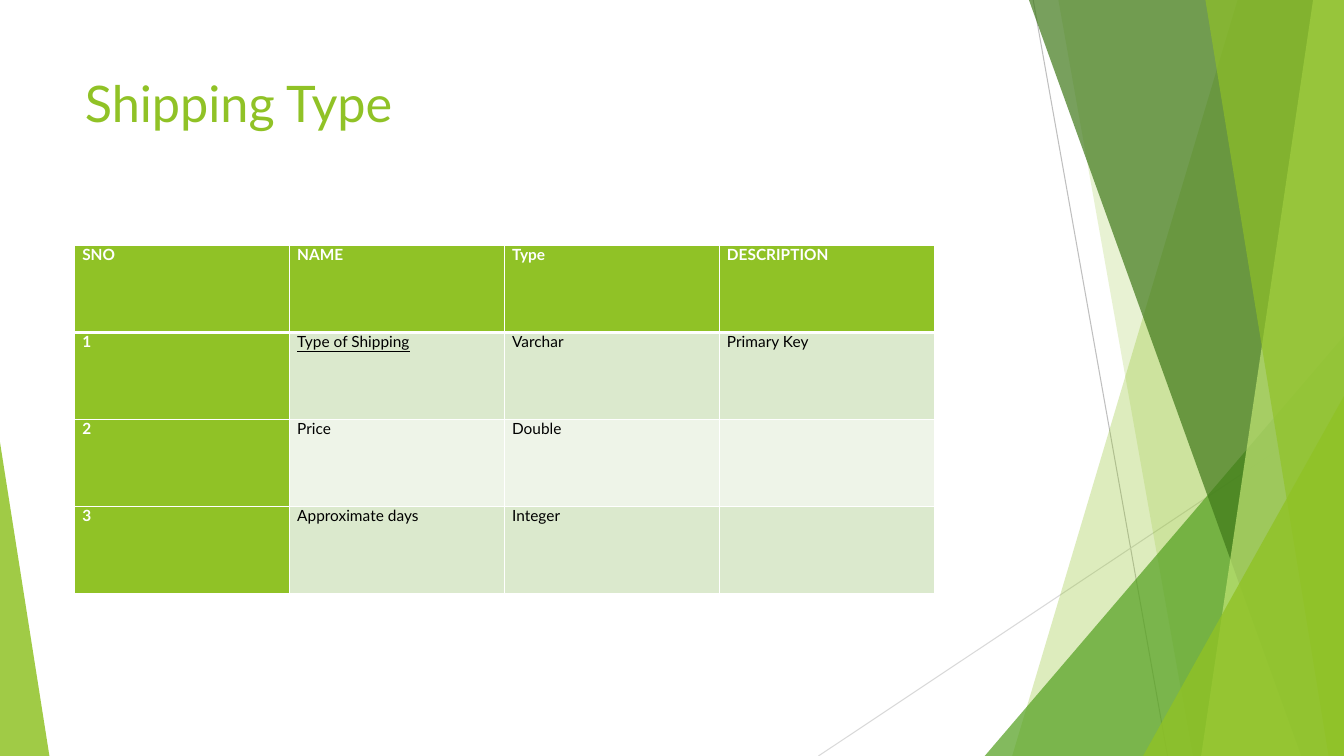
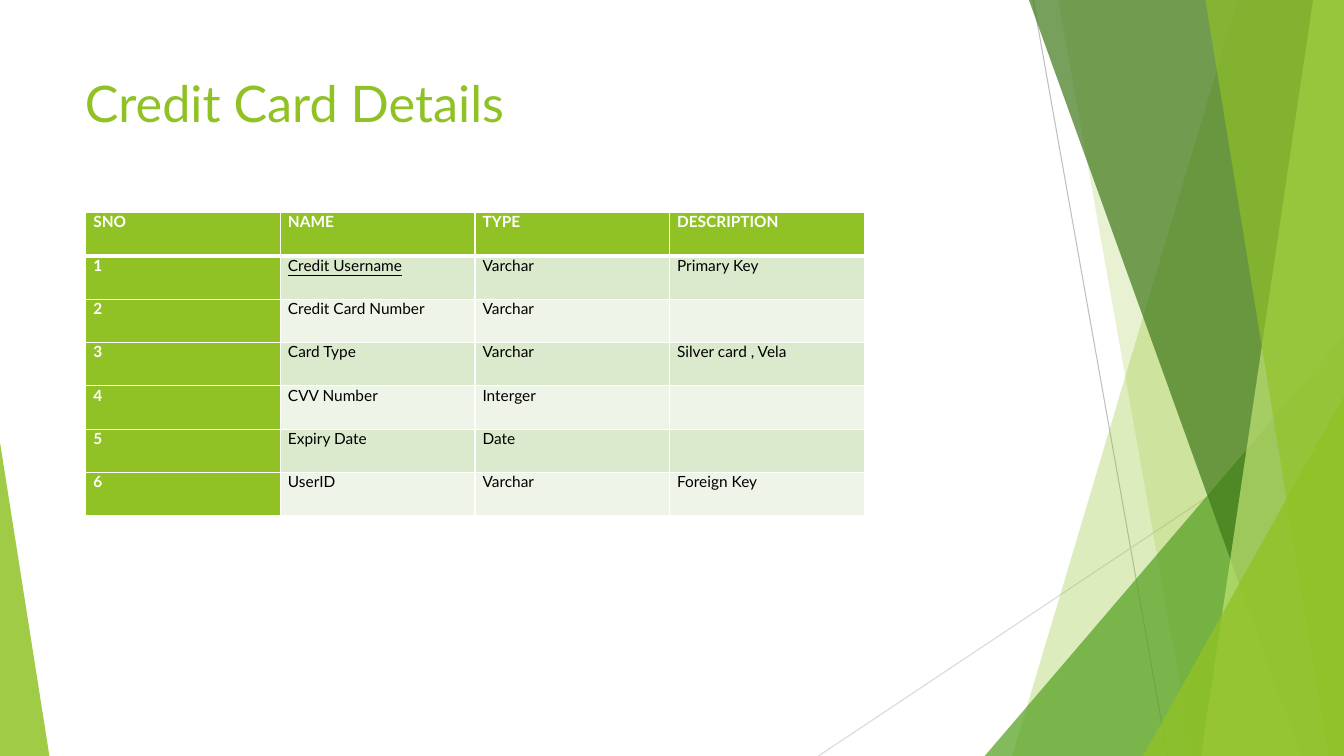
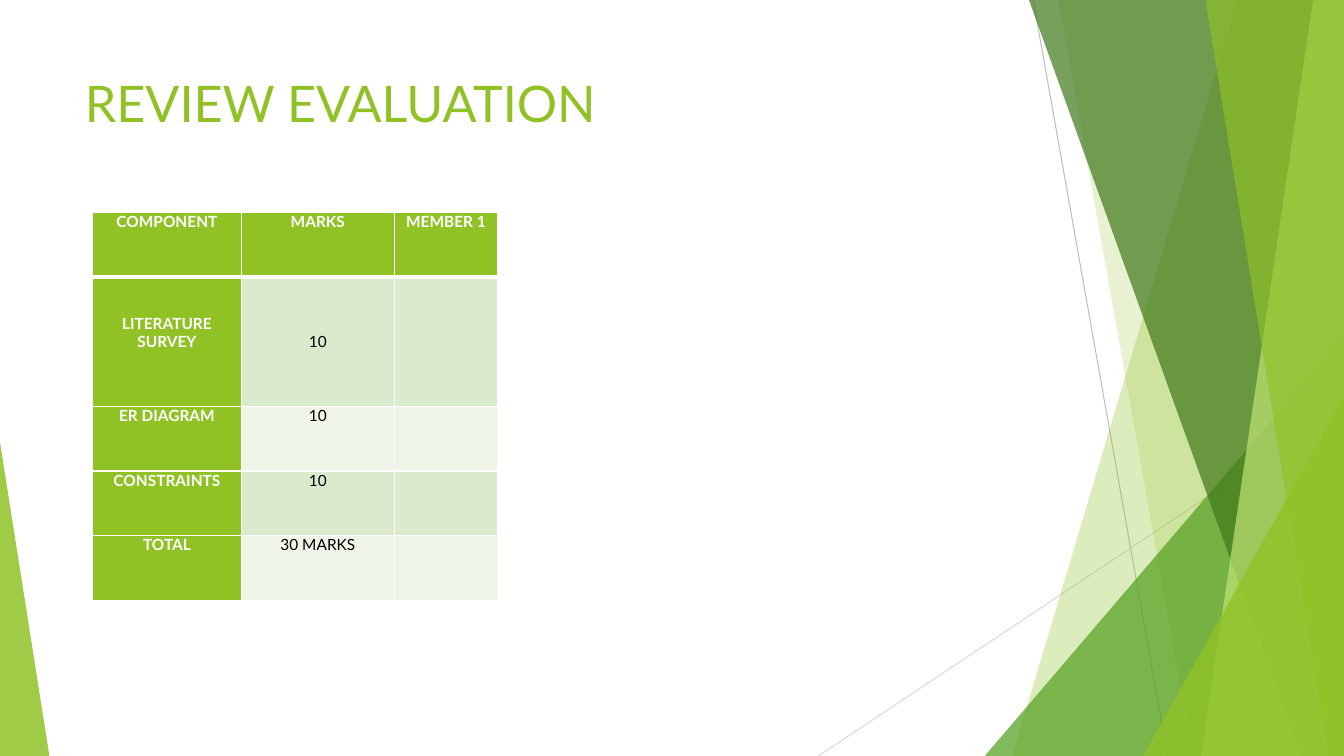
"""Build three table slides over a shared layout of green bands."""
from dataclasses import dataclass, field

from lxml import etree
from pptx import Presentation
from pptx.dml.color import RGBColor
from pptx.enum.shapes import MSO_CONNECTOR, MSO_SHAPE
from pptx.enum.text import MSO_ANCHOR, PP_ALIGN
from pptx.oxml.ns import qn
from pptx.slide import Slide, SlideLayout
from pptx.util import Pt

TRIANGLE = MSO_SHAPE.ISOSCELES_TRIANGLE
STRAIGHT = MSO_CONNECTOR.STRAIGHT
TOP = MSO_ANCHOR.TOP
LEFT = PP_ALIGN.LEFT
CENTER = PP_ALIGN.CENTER

WIDTH, HEIGHT = 960, 540
FONT = "Lato"
TITLE_ONLY = 5
COLORS = {
    "lime": "90C226",
    "leaf": "54A021",
    "forest": "3F7819",
    "pale": "C0E474",
    "odd": "DBE9CD",
    "even": "EEF4E8",
    "white": "FFFFFF",
    "black": "000000",
    "gray": "BFBFBF",
    "mist": "D9D9D9",
}


@dataclass
class Ray:
    start: tuple[float, float]
    end: tuple[float, float]
    color: str


@dataclass
class Band:
    top: float
    bottom: float
    color: str
    alpha: int


@dataclass
class Peak:
    left: float
    top: float
    width: float
    apex: int
    color: str
    alpha: int


@dataclass
class Grid:
    title: str
    left: float
    top: float
    cols: list[float]
    rows: list[float]
    cells: list[list[str]]
    align: PP_ALIGN = LEFT
    keys: set[tuple[int, int]] = field(default_factory=set)
    drops: dict[tuple[int, int], float] = field(default_factory=dict)


DECOR = [
    Ray((738, 0), (834, HEIGHT), "gray"),
    Ray((WIDTH, 290), (584.6, HEIGHT), "mist"),
    Band(884, 723, "lime", 30),
    Band(756, 852, "lime", 20),
    Peak(703.4, 240, 256.6, 1, "leaf", 72),
    Band(735, 929.5, "forest", 70),
    Band(938, 858, "pale", 70),
    Band(861, 949, "lime", 65),
    Peak(816.5, 283, 143.5, 1, "lime", 80),
    Peak(0, 316, 35.3, 0, "lime", 85),
]

GRIDS = [
    Grid(
        "Shipping Type", 53.4, 175.3, [153.5] * 4, [62.2] * 4,
        [
            ["SNO", "NAME", "Type", "DESCRIPTION"],
            ["1", "Type of Shipping", "Varchar", "Primary Key"],
            ["2", "Price", "Double", ""],
            ["3", "Approximate days", "Integer", ""],
        ],
        keys={(1, 1)},
    ),
    Grid(
        "Credit Card Details", 61.3, 151.7, [139] * 4, [31] * 7,
        [
            ["SNO", "NAME", "TYPE", "DESCRIPTION"],
            ["1", "Credit Username", "Varchar", "Primary Key"],
            ["2", "Credit Card Number", "Varchar", ""],
            ["3", "Card Type", "Varchar", "Silver card , Vela"],
            ["4", "CVV Number", "Interger", ""],
            ["5", "Expiry Date", "Date", ""],
            ["6", "UserID", "Varchar", "Foreign Key"],
        ],
        keys={(1, 1)},
    ),
    Grid(
        "REVIEW EVALUATION", 66, 151.7, [106.6, 109, 74],
        [46.2, 92.4, 46.2, 46.2, 46.2],
        [
            ["COMPONENT", "MARKS", "MEMBER 1"],
            ["LITERATURE SURVEY", "10", ""],
            ["ER DIAGRAM", "10", ""],
            ["CONSTRAINTS", "10", ""],
            ["TOTAL", "30 MARKS", ""],
        ],
        align=CENTER,
        drops={(1, 0): 26.4, (1, 1): 39.6},
    ),
]


def tint(name: str) -> RGBColor:
    return RGBColor.from_string(COLORS[name])


def draw_ray(slide: Slide, ray: Ray):
    ends = [Pt(n) for n in ray.start + ray.end]
    line = slide.shapes.add_connector(STRAIGHT, *ends)
    line.line.color.rgb = tint(ray.color)
    line.line.width = Pt(0.75)
    etree.SubElement(line.element.spPr, qn("a:effectLst"))
    return line


def draw_pane(slide: Slide, pane: Band | Peak):
    if isinstance(pane, Band):
        path = slide.shapes.build_freeform(Pt(pane.top), 0)
        corners = [(WIDTH, 0), (WIDTH, HEIGHT), (pane.bottom, HEIGHT)]
        path.add_line_segments([(Pt(x), Pt(y)) for x, y in corners])
        shape = path.convert_to_shape()
    else:
        shape = slide.shapes.add_shape(
            TRIANGLE, Pt(pane.left), Pt(pane.top),
            Pt(pane.width), Pt(HEIGHT - pane.top))
        shape.adjustments[0] = pane.apex
    shape.shadow.inherit = False
    shape.line.fill.background()
    shape.fill.solid()
    shape.fill.fore_color.rgb = tint(pane.color)
    color = next(shape.element.iter(qn("a:srgbClr")))
    etree.SubElement(color, qn("a:alpha"), val=str(pane.alpha * 1000))
    return shape


def dress(layout: SlideLayout, slide: Slide) -> None:
    for i, item in enumerate(DECOR):
        draw = draw_ray if isinstance(item, Ray) else draw_pane
        part = draw(slide, item).element
        next(part.iter(qn("p:cNvPr"))).set("id", str(100 + i))
        layout.shapes.element.insert(2 + i, part)


def style_title(layout: SlideLayout) -> None:
    title = layout.placeholders[0]
    title.left, title.top = Pt(53.4), Pt(48)
    title.width, title.height = Pt(676.8), Pt(104)
    title.text_frame.vertical_anchor = TOP


def add_title(slide: Slide, text: str) -> None:
    frame = slide.shapes.title.text_frame
    frame.text = text
    para = frame.paragraphs[0]
    para.alignment = LEFT
    font = para.runs[0].font
    font.name, font.size = FONT, Pt(36)
    font.color.rgb = tint("lime")


def add_edges(cell, row: int) -> None:
    props = cell._tc.get_or_add_tcPr()
    thick = {"lnB": row == 0, "lnT": row == 1}
    for side in ("lnL", "lnR", "lnT", "lnB"):
        width = Pt(3 if thick.get(side) else 1)
        edge = etree.SubElement(props, qn(f"a:{side}"), w=str(width))
        fill = etree.SubElement(edge, qn("a:solidFill"))
        etree.SubElement(fill, qn("a:srgbClr"), val=COLORS["white"])


def fill_cell(cell, grid: Grid, row: int, col: int) -> None:
    spot = (row, col)
    head = row == 0 or col == 0
    add_edges(cell, row)
    cell.fill.solid()
    cell.fill.fore_color.rgb = tint(
        "lime" if head else "odd" if row % 2 else "even")
    cell.margin_left = cell.margin_right = Pt(5.4)
    cell.margin_top = Pt(grid.drops.get(spot, 0))
    cell.margin_bottom = 0
    cell.vertical_anchor = TOP
    cell.text_frame.text = grid.cells[row][col]
    para = cell.text_frame.paragraphs[0]
    para.alignment = grid.align
    for run in para.runs:
        font = run.font
        font.name, font.size = FONT, Pt(11)
        font.bold = head
        font.underline = spot in grid.keys
        font.color.rgb = tint("white" if head else "black")


def add_grid(slide: Slide, grid: Grid) -> None:
    table = slide.shapes.add_table(
        len(grid.rows), len(grid.cols), Pt(grid.left), Pt(grid.top),
        Pt(sum(grid.cols)), Pt(sum(grid.rows))).table
    for col, width in zip(table.columns, grid.cols):
        col.width = Pt(width)
    for row, height in zip(table.rows, grid.rows):
        row.height = Pt(height)
    for r in range(len(grid.rows)):
        for c in range(len(grid.cols)):
            fill_cell(table.cell(r, c), grid, r, c)


def main() -> None:
    deck = Presentation()
    deck.slide_width, deck.slide_height = Pt(WIDTH), Pt(HEIGHT)
    layout = deck.slide_layouts[TITLE_ONLY]
    style_title(layout)
    slides = [deck.slides.add_slide(layout) for _ in GRIDS]
    dress(layout, slides[0])
    for slide, grid in zip(slides, GRIDS):
        add_title(slide, grid.title)
        add_grid(slide, grid)
    deck.save("out.pptx")


if __name__ == "__main__":
    main()
